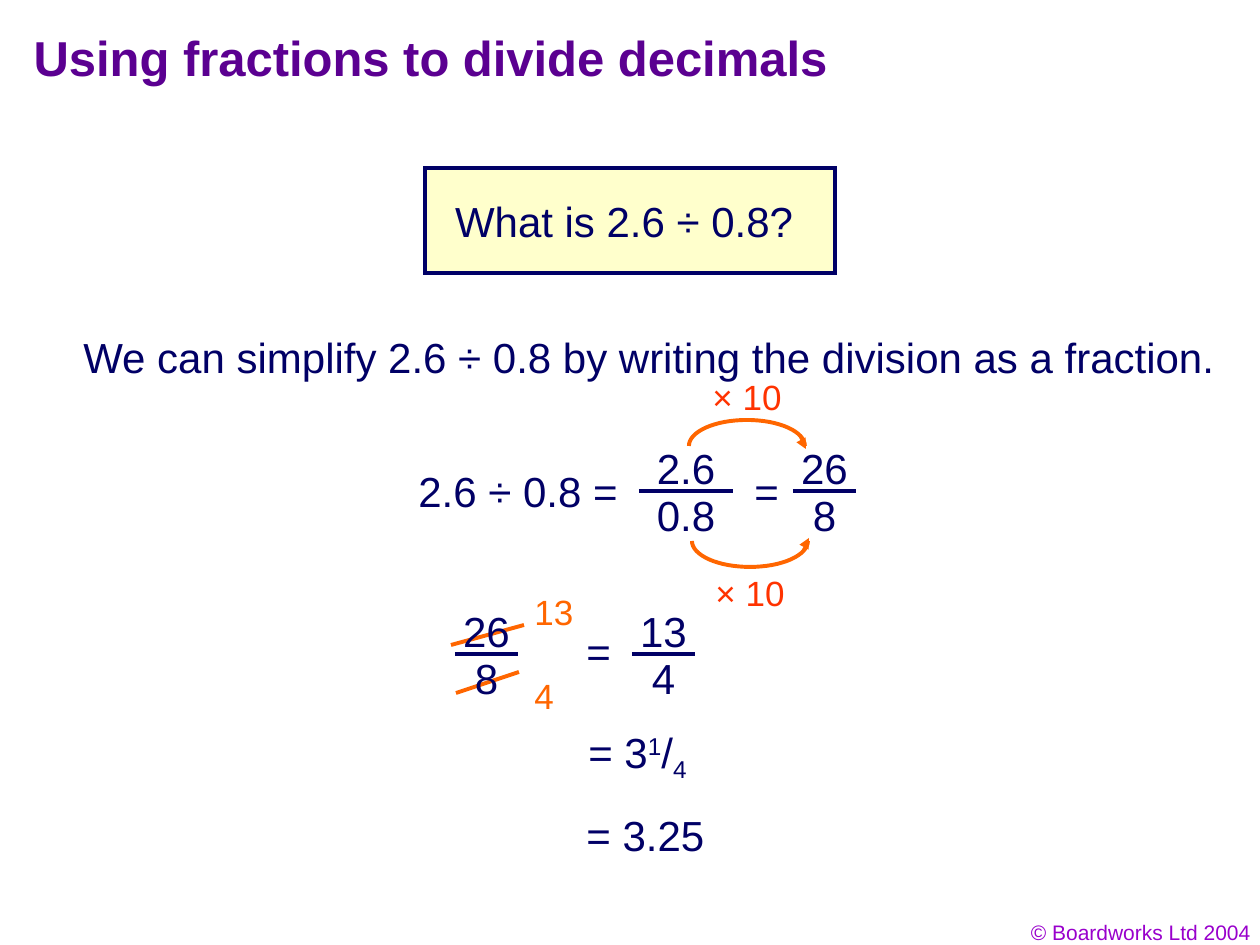
from dataclasses import dataclass
from math import cos, pi, sin

from lxml import etree
from pptx import Presentation
from pptx.dml.color import RGBColor
from pptx.enum.shapes import MSO_CONNECTOR, MSO_SHAPE
from pptx.enum.text import MSO_ANCHOR, MSO_AUTO_SIZE, PP_ALIGN
from pptx.oxml.ns import qn
from pptx.util import Pt

LEFT, CENTER, RIGHT = PP_ALIGN.LEFT, PP_ALIGN.CENTER, PP_ALIGN.RIGHT
TOP, MIDDLE = MSO_ANCHOR.TOP, MSO_ANCHOR.MIDDLE
GROW, FIXED = MSO_AUTO_SIZE.SHAPE_TO_FIT_TEXT, MSO_AUTO_SIZE.NONE
STRAIGHT = MSO_CONNECTOR.STRAIGHT
RECTANGLE = MSO_SHAPE.RECTANGLE
TITLE_ONLY = 5
EMU_PER_PX = 914400 / 126


@dataclass(frozen=True)
class Theme:
    """Colours, font and type sizes of the slide."""
    font: str = "Arial"
    title: str = "5B0091"
    ink: str = "010066"
    question: str = "000066"
    question_fill: str = "FFFFCC"
    accent: str = "FF6600"
    multiplier: str = "FF3300"
    footer: str = "9900CC"
    title_size: int = 28
    body_size: int = 24
    note_size: int = 20
    footer_size: int = 12
    line_width: float = 2.25
    arrow_width: float = 0.75


THEME = Theme()


def px(length):
    """Turn pixels into EMU."""
    return round(length * EMU_PER_PX)


def rgb(color):
    """Turn a hex string into a colour."""
    return RGBColor.from_string(color)


def write_text(shape, text, size=THEME.body_size, color=THEME.ink, bold=False,
               align=LEFT, anchor=TOP, wrap=False, auto_size=GROW):
    """Fill a shape with text, given as a string or as (text, baseline) runs."""
    frame = shape.text_frame
    frame.word_wrap = wrap
    frame.auto_size = auto_size
    frame.vertical_anchor = anchor
    paragraph = frame.paragraphs[0]
    paragraph.alignment = align
    runs = [(text, 0)] if isinstance(text, str) else text
    for content, baseline in runs:
        run = paragraph.add_run()
        run.text = content
        run.font.name = THEME.font
        run.font.size = Pt(size)
        run.font.bold = bold
        run.font.color.rgb = rgb(color)
        if baseline:
            run.font._element.set("baseline", str(baseline * 1000))


def add_text(shapes, text, left, top, width, height=63, **text_format):
    """Add a text box."""
    box = shapes.add_textbox(px(left), px(top), px(width), px(height))
    write_text(box, text, **text_format)


def add_line(shapes, start, end, color, width=THEME.line_width, arrow=False):
    """Add a straight line, with an arrowhead at its end if asked."""
    line = shapes.add_connector(STRAIGHT, *map(px, start + end))
    line.line.color.rgb = rgb(color)
    line.line.width = Pt(width)
    properties = line._element.spPr
    if arrow:
        outline = properties.find(qn("a:ln"))
        etree.SubElement(outline, qn("a:tailEnd"), type="triangle")
    etree.SubElement(properties, qn("a:effectLst"))


def add_question(shapes, text):
    """Add the framed question with square corners."""
    box = shapes.add_shape(RECTANGLE, px(425), px(168), px(410), px(105))
    box.shadow.inherit = False
    box.fill.solid()
    box.fill.fore_color.rgb = rgb(THEME.question_fill)
    box.line.color.rgb = rgb(THEME.question)
    box.line.width = Pt(THEME.line_width)
    outline = box._element.spPr.find(qn("a:ln"))
    etree.SubElement(outline, qn("a:miter"), lim="800000")
    write_text(box, text, color=THEME.question, align=CENTER, anchor=MIDDLE,
               auto_size=FIXED)


def add_fraction(slide, numerator, denominator, left, bar_y, width=63):
    """Add a grouped fraction with its numbers centred on the bar."""
    shapes = slide.shapes.add_group_shape().shapes
    for number, top in ((numerator, bar_y - 55), (denominator, bar_y - 8)):
        box_width = 25 + sum(12 if sign == "." else 24 for sign in number)
        add_text(shapes, number, left + (width - box_width) / 2, top, box_width,
                 align=CENTER)
    add_line(shapes, (left, bar_y), (left + width, bar_y), THEME.ink)


def add_multiplier(slide, label, left, ends_y, label_top, direction):
    """Add a grouped curved arrow; direction is -1 upwards and 1 downwards."""
    shapes = slide.shapes.add_group_shape().shapes
    radius, depth, steps = 58, 26, 32
    angles = [pi * step / steps for step in range(steps + 1)]
    points = [(px(left + radius * (1 - cos(angle))),
               px(ends_y + direction * depth * sin(angle))) for angle in angles]
    builder = shapes.build_freeform(*points[0])
    builder.add_line_segments(points[1:], close=False)
    curve = builder.convert_to_shape()
    curve.shadow.inherit = False
    curve.fill.background()
    curve.line.color.rgb = rgb(THEME.accent)
    curve.line.width = Pt(THEME.line_width)
    add_line(shapes, (left + 110, ends_y + direction * 10),
             (left + 117, ends_y - direction * 3), THEME.accent,
             width=THEME.arrow_width, arrow=True)
    add_text(shapes, label, left + 11, label_top, 96, 55,
             size=THEME.note_size, color=THEME.multiplier)


def add_cancellation(shapes, result, start, end, top, width):
    """Strike out a number and write what it becomes."""
    add_line(shapes, start, end, THEME.accent)
    add_text(shapes, result, 522, top, width, 55, size=THEME.note_size,
             color=THEME.accent)


def add_title(slide, text):
    """Place and format the title."""
    title = slide.shapes.title
    title.left, title.top, title.width, title.height = map(px, (21, 21, 1050, 95))
    write_text(title, text, size=THEME.title_size, color=THEME.title, bold=True,
               wrap=True, auto_size=FIXED)


def main():
    """Build the slide and save it."""
    presentation = Presentation()
    presentation.slide_width, presentation.slide_height = px(1260), px(945)
    slide = presentation.slides.add_slide(presentation.slide_layouts[TITLE_ONLY])
    shapes = slide.shapes
    add_title(slide, "Using fractions to divide decimals")
    add_question(shapes, "What is 2.6 ÷ 0.8? ")
    add_text(shapes, "We can simplify 2.6 ÷ 0.8 by writing the division as a fraction.",
             71, 325, 1170, wrap=True)

    add_text(shapes, "2.6 ÷ 0.8 =", 406, 459, 230)
    add_fraction(slide, "2.6", "0.8", 639, 491, width=94)
    add_text(shapes, "=", 742, 459, 50)
    add_fraction(slide, "26", "8", 793, 491)
    add_multiplier(slide, "× 10", 689, 446, 369, -1)
    add_multiplier(slide, "× 10", 692, 541, 565, 1)

    add_cancellation(shapes, "13", (451, 645), (524, 625), 584, 66)
    add_cancellation(shapes, "4", (456, 693), (519, 672), 668, 46)
    add_fraction(slide, "26", "8", 455, 654)
    add_text(shapes, "=", 574, 619, 50)
    add_fraction(slide, "13", "4", 632, 654)
    add_text(shapes, [("= 3", 0), ("1", 30), ("/", 0), ("4", -25)], 576, 720, 138, 71)
    add_text(shapes, "= 3.25", 574, 803, 148)

    add_text(shapes, "© Boardworks Ltd 2004", 969, 913, 294, 38, align=RIGHT,
             size=THEME.footer_size, color=THEME.footer, wrap=True)
    presentation.save("out.pptx")


if __name__ == "__main__":
    main()
